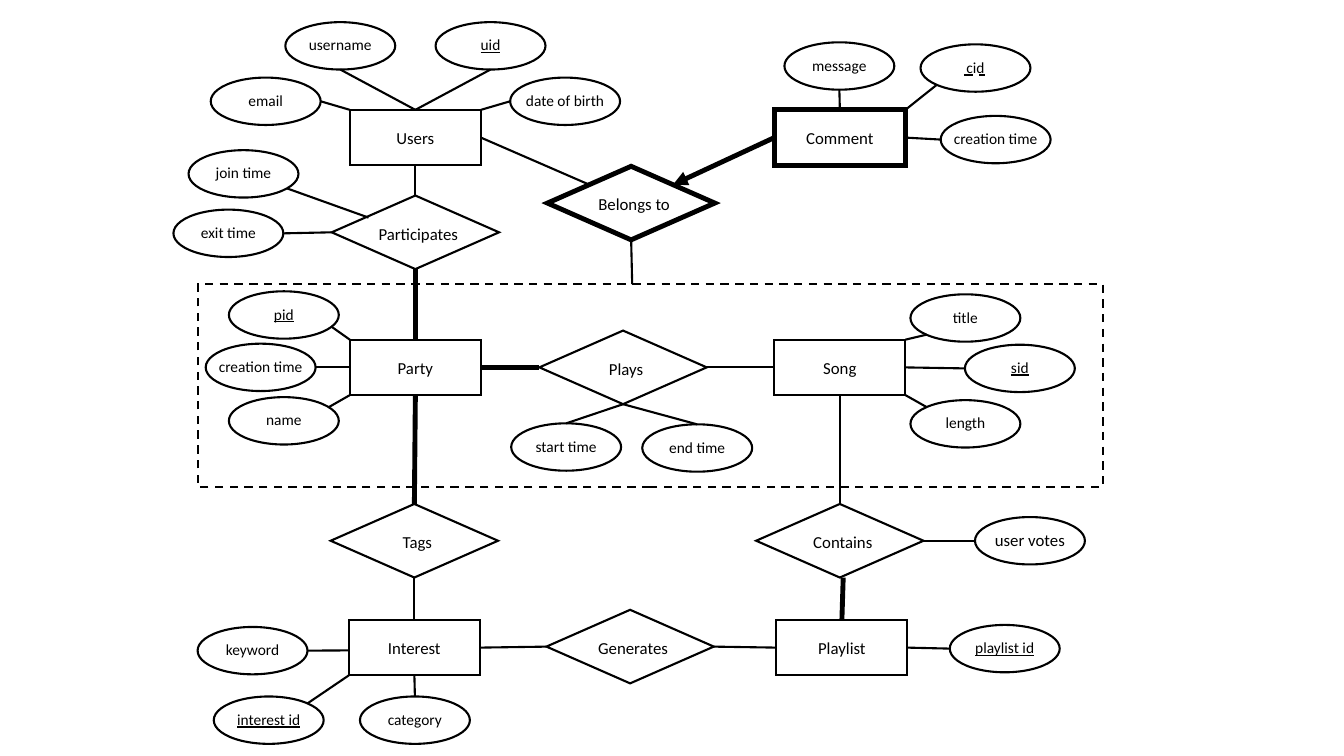
import pptx
import pptx.util
import pptx.dml.color
import pptx.enum.dml
import pptx.enum.shapes
import pptx.enum.text
import pptx.oxml

SHAPES = pptx.enum.shapes.MSO_SHAPE
COLORS = {"ink": "000000"}
FONT = "Calibri"
THIN, THICK = 1.5, 3.5

# Kind: preset, size in inches, text points, text shift, inset of its corner sites
KINDS = {
    "entity": (SHAPES.RECTANGLE, (1.3, 0.55), 12, (0, 0), 0),
    "relation": (SHAPES.DIAMOND, (1.66, 0.73), 12, (0.03, 0.01), 0.25),
    "attribute": (SHAPES.OVAL, (1.09, 0.47), 11, (0, -0.01), 0.15),
    "aggregate": (SHAPES.RECTANGLE, (8.98, 2.01), 12, (0, 0), 0),
}

# Name, kind, left, top, line width
NODES = [
    ("Users", "entity", 3.47, 1.09, THIN),
    ("Party", "entity", 3.47, 3.37, THIN),
    ("Song", "entity", 7.68, 3.37, THIN),
    ("Comment", "entity", 7.68, 1.09, THICK),
    ("Interest", "entity", 3.46, 6.15, THIN),
    ("Playlist", "entity", 7.7, 6.15, THIN),
    ("Plays", "relation", 5.35, 3.28, THIN),
    ("Participates", "relation", 3.29, 1.94, THIN),
    ("Belongs to", "relation", 5.43, 1.65, THICK),
    ("Tags", "relation", 3.28, 5, THIN),
    ("Contains", "relation", 7.5, 5, THIN),
    ("Generates", "relation", 5.42, 6.05, THIN),
]
AGGREGATE = (1.96, 2.82)

# Owner: attribute name, left, top, its site, the owner's site
ATTRIBUTES = {
    "Users": [
        ("username", 2.83, 0.22, "bottom", "top"),
        ("uid", 4.32, 0.22, "bottom", "top"),
        ("email", 2.09, 0.77, "right", "top left"),
        ("date of birth", 5.06, 0.77, "left", "top right"),
    ],
    "Comment": [
        ("message", 7.78, 0.42, "bottom", "top"),
        ("cid", 9.13, 0.44, "bottom left", "top right"),
        ("creation time", 9.33, 1.15, "left", "right"),
    ],
    "Participates": [
        ("join time", 1.87, 1.49, (0.9, 0.81), (0.22, 0.3)),
        ("exit time", 1.72, 2.08, "right", "left"),
    ],
    "Party": [
        ("pid", 2.27, 2.89, (0.93, 0.74), "top left"),
        ("creation time", 2.04, 3.41, "right", "left"),
        ("name", 2.27, 3.94, (0.91, 0.21), "bottom left"),
    ],
    "Plays": [
        ("start time", 5.07, 4.2, "top", "bottom"),
        ("end time", 6.37, 4.21, "top", "bottom"),
    ],
    "Song": [
        ("title", 9.03, 2.92, "bottom left", "top right"),
        ("sid", 9.57, 3.42, "left", "right"),
        ("length", 9.03, 3.97, "top left", "bottom right"),
    ],
    "Contains": [("user votes", 9.67, 5.13, "left", "right")],
    "Interest": [
        ("keyword", 1.96, 6.22, "right", (0, 0.55)),
        ("interest id", 2.12, 6.91, "top right", "bottom left"),
        ("category", 3.57, 6.91, "top", "bottom"),
    ],
    "Playlist": [("playlist id", 9.42, 6.2, "left", "right")],
}
KEYS = {"uid", "pid", "sid", "interest id", "playlist id"}
LARGE_ATTRIBUTES = {"user votes": 12}

# From, its site, to, its site, line width
LINKS = [
    ("Users", "right", "Belongs to", "top left", THIN),
    ("Belongs to", "bottom", "aggregate", (0.48, 0), THIN),
    ("Users", "bottom", "Participates", "top", THIN),
    ("Participates", "bottom", "Party", "top", THICK),
    ("Party", "right", "Plays", "left", THICK),
    ("Plays", "right", "Song", "left", THIN),
    ("Party", "bottom", "Tags", "top", THICK),
    ("Tags", "bottom", "Interest", "top", THIN),
    ("Song", "bottom", "Contains", "top", THIN),
    ("Contains", (0.52, 1), "Playlist", "top", THICK),
    ("Interest", "right", "Generates", "left", THIN),
    ("Generates", "right", "Playlist", "left", THIN),
]

presentation = pptx.Presentation()
presentation.slide_width = pptx.util.Inches(13.33)
presentation.slide_height = pptx.util.Inches(7.5)
slide = presentation.slides.add_slide(presentation.slide_layouts[6])
boxes = {}


def add_xml(parent, tag, attributes=""):
    namespace = pptx.oxml.ns.nsdecls("a")
    parent.append(pptx.oxml.parse_xml(f"<a:{tag} {namespace} {attributes}/>"))


def style_line(line, width, dashed):
    line.color.rgb = pptx.dml.color.RGBColor.from_string(COLORS["ink"])
    line.width = pptx.util.Pt(width)
    if dashed:
        line.dash_style = pptx.enum.dml.MSO_LINE.DASH


def add_node(key, text, kind, left, top, width=THIN, dashed=False):
    preset, size, points, shift, inset = KINDS[kind]
    shape = slide.shapes.add_shape(
        preset, *(pptx.util.Inches(length) for length in (left, top, *size)))
    shape.shadow.inherit = False
    shape.fill.background()
    style_line(shape.line, width, dashed)
    add_xml(shape.line._get_or_add_ln(), "miter", 'lim="800000"')
    boxes[key] = (left, top, *size, inset)
    if not text:
        return
    # Text is centred, then shifted by uneven margins
    frame = shape.text_frame
    frame.word_wrap = False
    frame.vertical_anchor = pptx.enum.text.MSO_ANCHOR.MIDDLE
    across, down = shift
    frame.margin_left = pptx.util.Inches(max(0, 2 * across))
    frame.margin_right = pptx.util.Inches(0)
    frame.margin_top = pptx.util.Inches(max(0, 2 * down))
    frame.margin_bottom = pptx.util.Inches(max(0, -2 * down))
    paragraph = frame.paragraphs[0]
    paragraph.text = text
    paragraph.alignment = pptx.enum.text.PP_ALIGN.CENTER
    font = paragraph.font
    font.name = FONT
    font.size = pptx.util.Pt(LARGE_ATTRIBUTES.get(text, points))
    font.color.rgb = pptx.dml.color.RGBColor.from_string(COLORS["ink"])
    if text in KEYS:
        paragraph.runs[0].font.underline = True


def locate(key, site):
    """Turn a named site, or a pair of shares of the node's box, into inches."""
    left, top, width, height, inset = boxes[key]
    if isinstance(site, str):
        words = site.split()
        near = inset if len(words) == 2 else 0
        across = near if "left" in words else 1 - near if "right" in words else 0.5
        down = near if "top" in words else 1 - near if "bottom" in words else 0.5
    else:
        across, down = site
    return left + across * width, top + down * height


def add_link(start, start_site, end, end_site, width=THIN, dashed=False, arrow=False):
    points = locate(start, start_site) + locate(end, end_site)
    connector = slide.shapes.add_connector(
        pptx.enum.shapes.MSO_CONNECTOR.STRAIGHT, *map(pptx.util.Inches, points))
    style_line(connector.line, width, dashed)
    if arrow:
        add_xml(connector.line._get_or_add_ln(), "tailEnd", 'type="triangle"')
    add_xml(connector._element.spPr, "effectLst")


# Aggregation frame, entities and relations
add_node("aggregate", "", "aggregate", *AGGREGATE, dashed=True)
for name, kind, left, top, width in NODES:
    add_node(name, name, kind, left, top, width)

# Attributes, each joined to its owner
for owner, attributes in ATTRIBUTES.items():
    for name, left, top, site, owner_site in attributes:
        key = (owner, name)
        add_node(key, name, "attribute", left, top)
        add_link(key, site, owner, owner_site)

# Links between entities and relations
for link in LINKS:
    add_link(*link)
add_link("Comment", "left", "Belongs to", "top right", THICK, arrow=True)

# Dashed underline of the partial key
partial_key = ("Comment", "cid")
add_link(partial_key, (0.4, 0.64), partial_key, (0.59, 0.64), dashed=True)

presentation.save("out.pptx")
